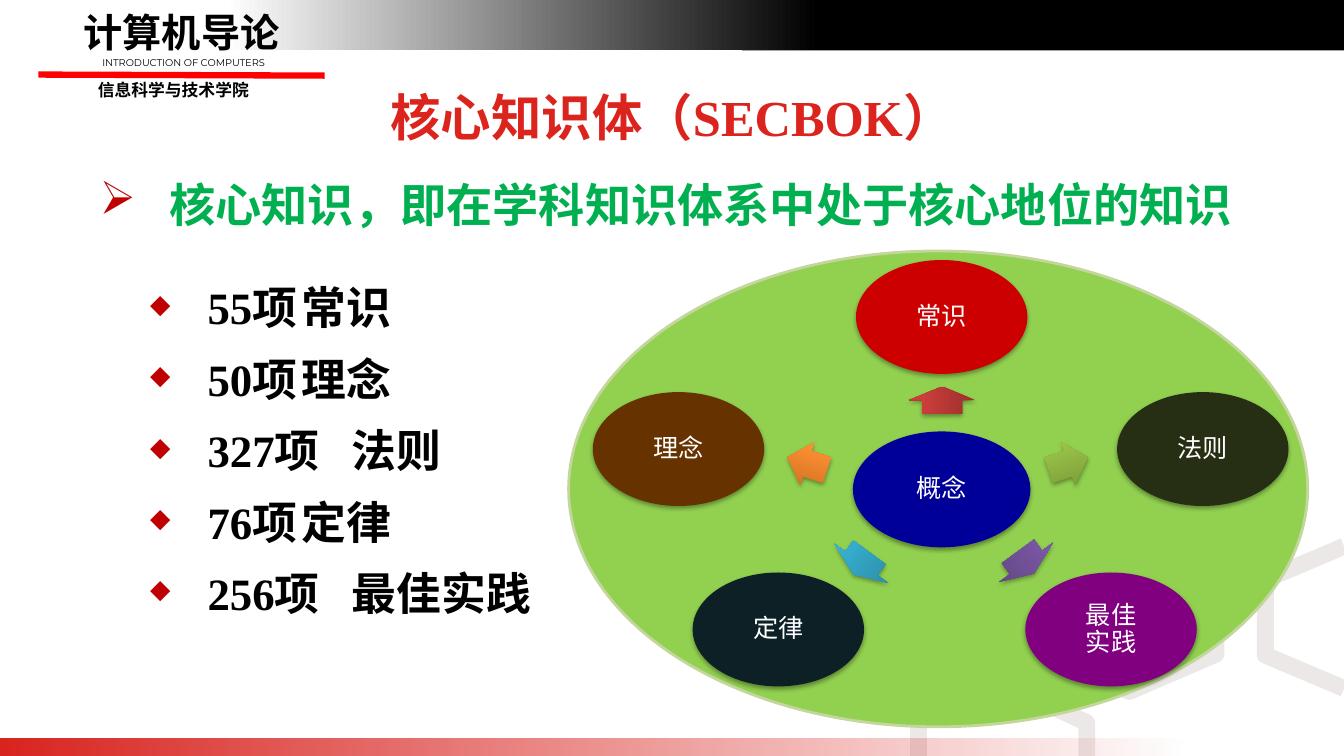
from dataclasses import dataclass

from lxml import etree
from pptx import Presentation
from pptx import util as u
from pptx.dml import color as col
from pptx.enum import shapes as sh, text as tx
from pptx.oxml import ns


@dataclass(frozen=True)
class Theme:
    cjk: str = "Noto Sans CJK SC"
    serif: str = "Times New Roman"
    sans: str = "Calibri"
    label: str = "Montserrat"
    black: str = "000000"
    white: str = "FFFFFF"
    red: str = "FF0000"
    title: str = "DC241F"
    foot: str = "D9241F"
    green: str = "00B050"
    mark: str = "C00000"
    hexa: str = "BDB6B0"
    oval: str = "92D050"
    rim: str = "C3D69B"
    head_pt: int = 36
    lead_pt: int = 33
    item_pt: int = 32
    node_pt: int = 18


@dataclass(frozen=True)
class Box:
    left: float
    top: float
    wide: float
    high: float

    def emu(self) -> list:
        return [u.Inches(v) for v in (self.left, self.top, self.wide, self.high)]


@dataclass(frozen=True)
class Style:
    font: str
    size: float
    color: str
    bold: bool = False


@dataclass(frozen=True)
class Node:
    lines: tuple
    box: Box
    fill: str
    font: str = "Noto Sans CJK SC"


@dataclass(frozen=True)
class Arrow:
    kind: sh.MSO_SHAPE
    box: Box
    turn: float
    stops: tuple


T = Theme()
RIGHT, LEFT = sh.MSO_SHAPE.RIGHT_ARROW, sh.MSO_SHAPE.LEFT_ARROW

HEADER = [
    ("信息科学与技术学院", Box(0.14, 0.74, 3.16, 0.31), Style(T.cjk, 12, T.black, True)),
    ("计算机导论", Box(0.22, 0.03, 3.16, 0.58), Style(T.cjk, 28, T.black, True)),
    ("INTRODUCTION OF COMPUTERS", Box(0.38, 0.51, 2.88, 0.22), Style(T.label, 7, T.black)),
]
HEXES = [
    ([(10.35, 5.76), (11.2, 5.39), (12.06, 5.76), (12.06, 6.49), (11.2, 6.86), (10.35, 6.49)], True),
    ([(9.11, 7.5), (9.11, 7.17), (9.94, 6.78), (10.78, 7.17), (10.78, 7.5)], False),
    ([(13.33, 5.42), (12.55, 5.75), (12.55, 6.5), (13.33, 6.83)], False),
]
LEAD = "核心知识，即在学科知识体系中处于核心地位的知识"
ITEMS = [("55项", "常识"), ("50项", "理念"), ("327项", "法则"), ("76项", "定律"), ("256项", "最佳实践")]
NODES = [Node(("概念",), Box(8.46, 4.28, 1.76, 1.15), "000099", T.sans)] + [
    Node(lines, Box(left, top, 1.7, 1.13), fill)
    for lines, left, top, fill in [
        (("常识",), 8.49, 2.58, "CC0000"),
        (("法则",), 11.08, 3.89, "262F13"),
        (("最佳", "实践"), 10.17, 5.68, "800080"),
        (("定律",), 6.87, 5.68, "0C2026"),
        (("理念",), 5.88, 3.89, "663300"),
    ]
]
ARROWS = [
    Arrow(RIGHT, Box(9.21, 3.64, 0.27, 0.66), 270, ("9C2F2D", "CB3E3A", "CE3B37")),
    Arrow(RIGHT, Box(10.39, 4.38, 0.41, 0.44), 342, ("779737", "9BC348", "9DC746")),
    Arrow(RIGHT, Box(10.04, 5.25, 0.27, 0.66), 54, ("5F4480", "7B58A6", "7C57A8")),
    Arrow(LEFT, Box(8.41, 5.26, 0.27, 0.66), 306, ("2A88A2", "37B1D2", "34B4D6")),
    Arrow(LEFT, Box(7.8, 4.38, 0.41, 0.44), 18, ("CC6E20", "FF9034", "FF9136")),
]


def rgb(code: str) -> col.RGBColor:
    return col.RGBColor.from_string(code)


def sub(node, tag: str, **attrs):
    return etree.SubElement(node, ns.qn(tag), {k: str(v) for k, v in attrs.items()})


def shape(page, kind, box: Box, fill: str = ""):
    item = page.shapes.add_shape(kind, *box.emu())
    item.shadow.inherit = False
    item.line.fill.background()
    if fill:
        item.fill.solid()
        item.fill.fore_color.rgb = rgb(fill)
    return item


def grade(item, stops: list, turn: int) -> None:
    """Fill with stops of (percent, colour, opacity) at an angle."""
    item.fill.gradient()
    grad = item._element.spPr.find(ns.qn("a:gradFill"))
    for part in list(grad):
        grad.remove(part)
    rows = sub(grad, "a:gsLst")
    for pos, code, alpha in stops:
        tint = sub(sub(rows, "a:gs", pos=pos * 1000), "a:srgbClr", val=code)
        if alpha < 100:
            sub(tint, "a:alpha", val=alpha * 1000)
    sub(grad, "a:lin", ang=turn * 60000, scaled=0)


def shade(item) -> None:
    fx = item._element.spPr.find(ns.qn("a:effectLst"))
    drop = sub(fx, "a:outerShdw", blurRad=40000, dist=23000, dir=5400000, rotWithShape=0)
    sub(sub(drop, "a:srgbClr", val=T.black), "a:alpha", val=35000)


def run(para, words: str, style: Style) -> None:
    part = para.add_run()
    part.text = words
    font = part.font
    font.name, font.size, font.bold = style.font, u.Pt(style.size), style.bold
    font.color.rgb = rgb(style.color)
    sub(font._element, "a:ea", typeface=T.cjk)


def label(page, box: Box):
    frame = page.shapes.add_textbox(*box.emu()).text_frame
    frame.word_wrap = True
    return frame


def bullet(para, mark: str, left: float, hang: float, scale: int = 100) -> None:
    props = para._p.get_or_add_pPr()
    props.set("marL", str(u.Inches(left)))
    props.set("indent", str(-u.Inches(hang)))
    sub(sub(props, "a:buClr"), "a:srgbClr", val=T.mark)
    sub(props, "a:buSzPct", val=scale * 1000)
    sub(props, "a:buChar", char=mark)


def outline(page, spots: list, close: bool) -> None:
    spots = [(u.Inches(x), u.Inches(y)) for x, y in spots]
    pen = page.shapes.build_freeform(*spots[0])
    pen.add_line_segments(spots[1:], close=close)
    item = pen.convert_to_shape()
    item.shadow.inherit = False
    item.fill.background()
    item.line.width = u.Pt(12)
    item.line.color.rgb = rgb(T.hexa)
    tint = item.line._ln.find(".//" + ns.qn("a:srgbClr"))
    sub(tint, "a:alpha", val=30000)


def frame(page) -> None:
    # Top band and header
    rect = sh.MSO_SHAPE.RECTANGLE
    shape(page, rect, Box(7.36, 0, 5.97, 0.5), T.black)
    band = shape(page, rect, Box(2.24, -0.01, 5.88, 0.51))
    grade(band, [(0, T.white, 100), (100, T.black, 100)], 0)
    for words, box, style in HEADER:
        para = label(page, box).paragraphs[0]
        para.alignment = tx.PP_ALIGN.CENTER
        run(para, words, style)
    ends = [u.Inches(v) for v in (0.38, 0.74, 3.22, 0.75)]
    rule = page.shapes.add_connector(sh.MSO_CONNECTOR.STRAIGHT, *ends)
    rule.line.color.rgb, rule.line.width = rgb(T.red), u.Pt(4.5)
    sub(rule._element.spPr, "a:effectLst")
    # Hexagons and footer
    for spots, close in HEXES:
        outline(page, spots, close)
    foot = shape(page, rect, Box(-0.01, 7.33, 11.82, 0.17))
    grade(foot, [(0, T.foot, 100), (100, T.foot, 0)], 0)


def words(page) -> None:
    # Title
    head = label(page, Box(0.44, 0.53, 12.45, 1.25))
    head.vertical_anchor = tx.MSO_ANCHOR.MIDDLE
    para = head.paragraphs[0]
    para.alignment = tx.PP_ALIGN.CENTER
    run(para, "核心知识体（SECBOK）", Style(T.serif, T.head_pt, T.title, True))
    # Bullets
    body = label(page, Box(0.89, 1.7, 11.44, 5.43))
    para = body.paragraphs[0]
    bullet(para, "➢", 0.69, 0.69)
    run(para, LEAD, Style(T.cjk, T.lead_pt, T.green, True))
    for i, (count, name) in enumerate(ITEMS):
        para = body.add_paragraph()
        para.level, para.line_spacing = 1, 1.12
        para.space_before = u.Pt(8 if i else 30)
        bullet(para, "◆", 1.07, 0.57, 59)
        run(para, f"{count}\t{name}", Style(T.serif, T.item_pt, T.black, True))


def chart(page) -> None:
    # Large oval, arrows and nodes
    oval = shape(page, sh.MSO_SHAPE.OVAL, Box(5.64, 2.49, 7.33, 4.72), T.oval)
    oval.line.color.rgb, oval.line.width = rgb(T.rim), u.Pt(2)
    for arrow in ARROWS:
        item = shape(page, arrow.kind, arrow.box)
        item.adjustments[0], item.adjustments[1] = 0.6, 0.5
        item.rotation = arrow.turn
        grade(item, [(p, c, 100) for p, c in zip((0, 80, 100), arrow.stops)], 270)
        shade(item)
    for node in NODES:
        item = shape(page, sh.MSO_SHAPE.OVAL, node.box, node.fill)
        shade(item)
        area = item.text_frame
        area.margin_left = area.margin_right = area.margin_top = area.margin_bottom = 0
        area.vertical_anchor = tx.MSO_ANCHOR.MIDDLE
        para = area.paragraphs[0]
        para.alignment, para.line_spacing = tx.PP_ALIGN.CENTER, 0.9
        for i, line in enumerate(node.lines):
            if i:
                para.add_line_break()
            run(para, line, Style(node.font, T.node_pt, T.white))


def main() -> None:
    deck = Presentation()
    deck.slide_width, deck.slide_height = u.Inches(13.33), u.Inches(7.5)
    page = deck.slides.add_slide(deck.slide_layouts[6])
    frame(page)
    words(page)
    chart(page)
    deck.save("out.pptx")


if __name__ == "__main__":
    main()
